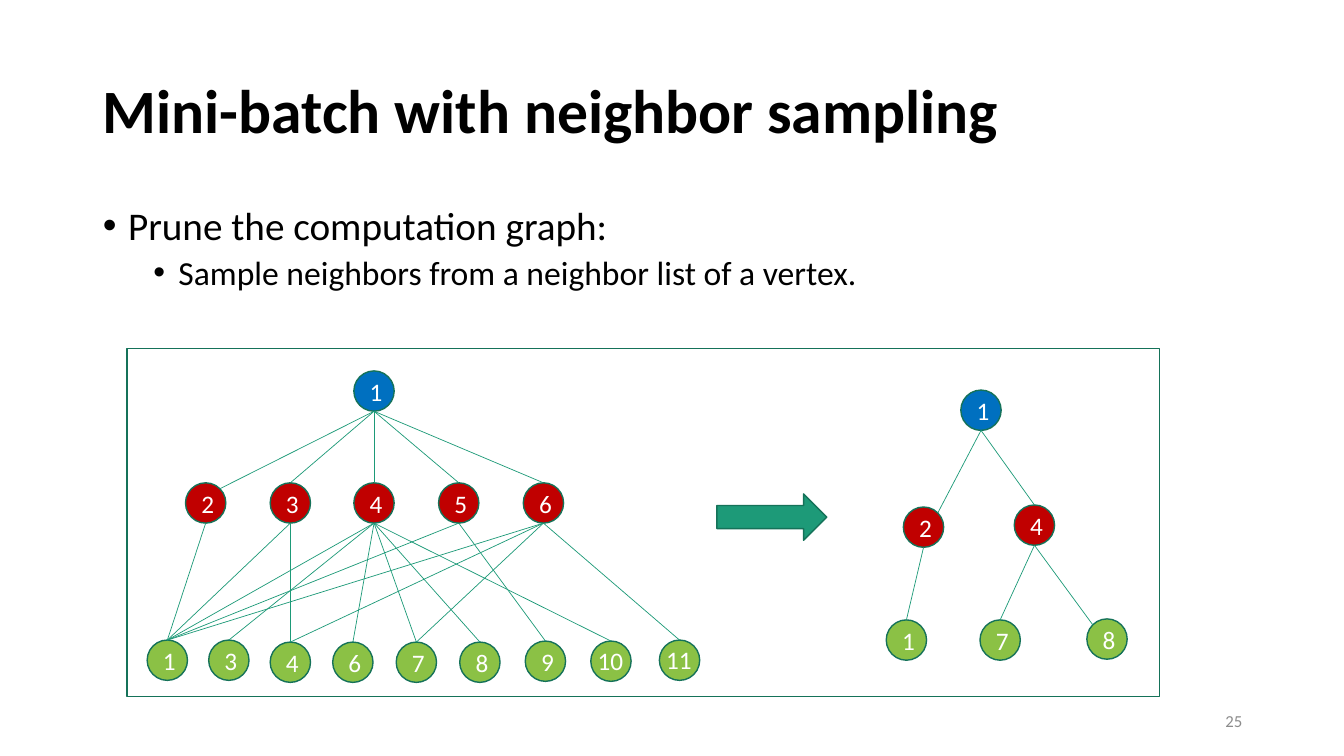
import math
import pptx
import pptx.util
import pptx.dml.color
import pptx.enum.shapes
import pptx.enum.text
import pptx.oxml

RGB = pptx.dml.color.RGBColor
SHAPE = pptx.enum.shapes.MSO_SHAPE
ALIGN = pptx.enum.text.PP_ALIGN
ANCHOR = pptx.enum.text.MSO_ANCHOR
BLACK = RGB(0x00, 0x00, 0x00)
WHITE = RGB(0xFF, 0xFF, 0xFF)
GREY = RGB(0x8C, 0x8C, 0x8C)
TEAL = RGB(0x1D, 0x9A, 0x78)
DARK_TEAL = RGB(0x15, 0x72, 0x59)
BLUE = RGB(0x00, 0x70, 0xC0)
RED = RGB(0xC0, 0x00, 0x00)
GREEN = RGB(0x8B, 0xC1, 0x45)

# Content; lengths are px, 100 px to the inch
TITLE = "Mini-batch with neighbor sampling"
POINTS = [  # text, level, size, indent px, space before
    ("Prune the computation graph:", 0, 28, 25, 0),
    ("Sample neighbors from a neighbor list of a vertex.", 1, 24, 75, 5),
]
PAGE_NUMBER = "25"
NODE = 40
LEVEL_COLORS = [BLUE, RED, GREEN]

# Each level maps a vertex to its (left, top); edges map it to its neighbors
FULL_GRAPH = {
    "levels": [
        {1: (351, 368)},
        {2: (184, 479), 3: (268, 479), 4: (351, 479), 5: (435, 479), 6: (519, 479)},
        {1: (146, 635), 3: (207, 635), 4: (268, 637), 6: (330, 637), 7: (393, 637),
         8: (456, 637), 9: (521, 636), 10: (586, 636), 11: (654, 635)},
    ],
    "edges": [
        {1: [2, 3, 4, 5, 6]},
        {2: [1], 3: [1, 4], 4: [1, 3, 6, 7, 8, 10], 5: [1, 9], 6: [1, 4, 7, 11]},
    ],
    "corner_ends": {(1, 2): 1},
}
SAMPLED_GRAPH = {
    "levels": [
        {1: (953, 387)},
        {2: (896, 503), 4: (1006, 501)},
        {1: (879, 615), 7: (972, 615), 8: (1078, 614)},
    ],
    "edges": [{1: [2, 4]}, {2: [1], 4: [7, 8]}],
    "corner_ends": {(1, 2): 1, (4, 8): -1},  # 1 upper right, -1 upper left
}


def px(*lengths):
    return [pptx.util.Emu(round(length * 9144)) for length in lengths]


def style(run, size, color, bold=False):
    run.font.name = "Calibri"
    run.font.size = pptx.util.Pt(size)
    run.font.color.rgb = color
    run.font.bold = bold


def place(shape, *box):
    shape.left, shape.top, shape.width, shape.height = px(*box)


def add_filled(kind, box, fill):
    shape = slide.shapes.add_shape(kind, *px(*box))
    shape.shadow.inherit = False
    shape.fill.solid()
    shape.fill.fore_color.rgb = fill
    shape.line.color.rgb = DARK_TEAL
    shape.line.width = pptx.util.Pt(1)
    return shape


def add_label(shape, text, size, color, align):
    shape.text_frame.text = text
    line = shape.text_frame.paragraphs[0]
    line.alignment = align
    style(line.runs[0], size, color)


def add_vertex(vertex, left, top, color):
    circle = add_filled(SHAPE.OVAL, (left, top, NODE, NODE), color)
    if vertex < 10:
        circle.text_frame.vertical_anchor = ANCHOR.MIDDLE
        add_label(circle, str(vertex), 18, WHITE, ALIGN.CENTER)
    else:  # two digits need more room than the circle gives
        number = slide.shapes.add_textbox(*px(left - 3, top - 1, 46, NODE))
        number.text_frame.word_wrap = False
        add_label(number, str(vertex), 18, WHITE, ALIGN.LEFT)


def add_edge(parent, child, corner):
    radius = NODE / 2
    reach = radius * math.sqrt(0.5)
    end_x = child[0] + radius + corner * reach
    end_y = child[1] + (radius - reach if corner else 0)
    edge = slide.shapes.add_connector(
        pptx.enum.shapes.MSO_CONNECTOR.STRAIGHT,
        *px(parent[0] + radius, parent[1] + NODE, end_x, end_y))
    edge.line.color.rgb = TEAL
    edge.line.width = pptx.util.Pt(0.5)
    properties = edge._element.spPr
    properties.append(pptx.oxml.parse_xml(
        '<a:effectLst xmlns:a="http://schemas.openxmlformats.org/drawingml/2006/main"/>'))


def add_graph(graph):
    levels = graph["levels"]
    for level, color in zip(levels, LEVEL_COLORS):
        for vertex, (left, top) in level.items():
            add_vertex(vertex, left, top, color)
    for parents, children, edges in zip(levels, levels[1:], graph["edges"]):
        for vertex, neighbors in edges.items():
            for neighbor in neighbors:
                corner = graph["corner_ends"].get((vertex, neighbor), 0)
                add_edge(parents[vertex], children[neighbor], corner)


presentation = pptx.Presentation()
presentation.slide_width, presentation.slide_height = px(1333, 750)
slide = presentation.slides.add_slide(presentation.slide_layouts[1])

# Title
title = slide.shapes.title
place(title, 92, 40, 1150, 145)
title.text_frame.text = TITLE
title.text_frame.vertical_anchor = ANCHOR.MIDDLE
title.text_frame.auto_size = pptx.enum.text.MSO_AUTO_SIZE.NONE
heading = title.text_frame.paragraphs[0]
heading.alignment = ALIGN.LEFT
heading.line_spacing = 0.9
style(heading.runs[0], 44, BLACK, bold=True)

# Bulleted list
body = slide.placeholders[1]
place(body, 92, 200, 1150, 476)
body.text_frame.text = "\n".join(point[0] for point in POINTS)
body.text_frame.auto_size = pptx.enum.text.MSO_AUTO_SIZE.NONE
for line, (_, level, size, indent, before) in zip(body.text_frame.paragraphs, POINTS):
    line.level = level
    line.line_spacing = 0.9
    line.space_before = pptx.util.Pt(before)
    properties = line._p.get_or_add_pPr()
    margin, hanging = px(indent, -25)
    properties.set("marL", str(margin))
    properties.set("indent", str(hanging))
    for bullet in (
            '<a:buFont xmlns:a="http://schemas.openxmlformats.org/drawingml/2006/main" typeface="Arial"/>',
            '<a:buChar xmlns:a="http://schemas.openxmlformats.org/drawingml/2006/main" char="•"/>'):
        properties.append(pptx.oxml.parse_xml(bullet))
    style(line.runs[0], size, BLACK)

# Panel, sent behind the text
panel = add_filled(SHAPE.RECTANGLE, (126, 346, 1024, 345), WHITE)
slide.shapes._spTree.insert(2, panel._element)

# Full graph, pruned to the sampled graph
add_graph(FULL_GRAPH)
add_filled(SHAPE.RIGHT_ARROW, (711, 490, 109, 46), TEAL)
add_graph(SAMPLED_GRAPH)

# Page number
page = slide.shapes.add_textbox(*px(942, 695, 300, 40))
page.text_frame.word_wrap = True
page.text_frame.vertical_anchor = ANCHOR.MIDDLE
add_label(page, PAGE_NUMBER, 12, GREY, ALIGN.RIGHT)

presentation.save("out.pptx")
